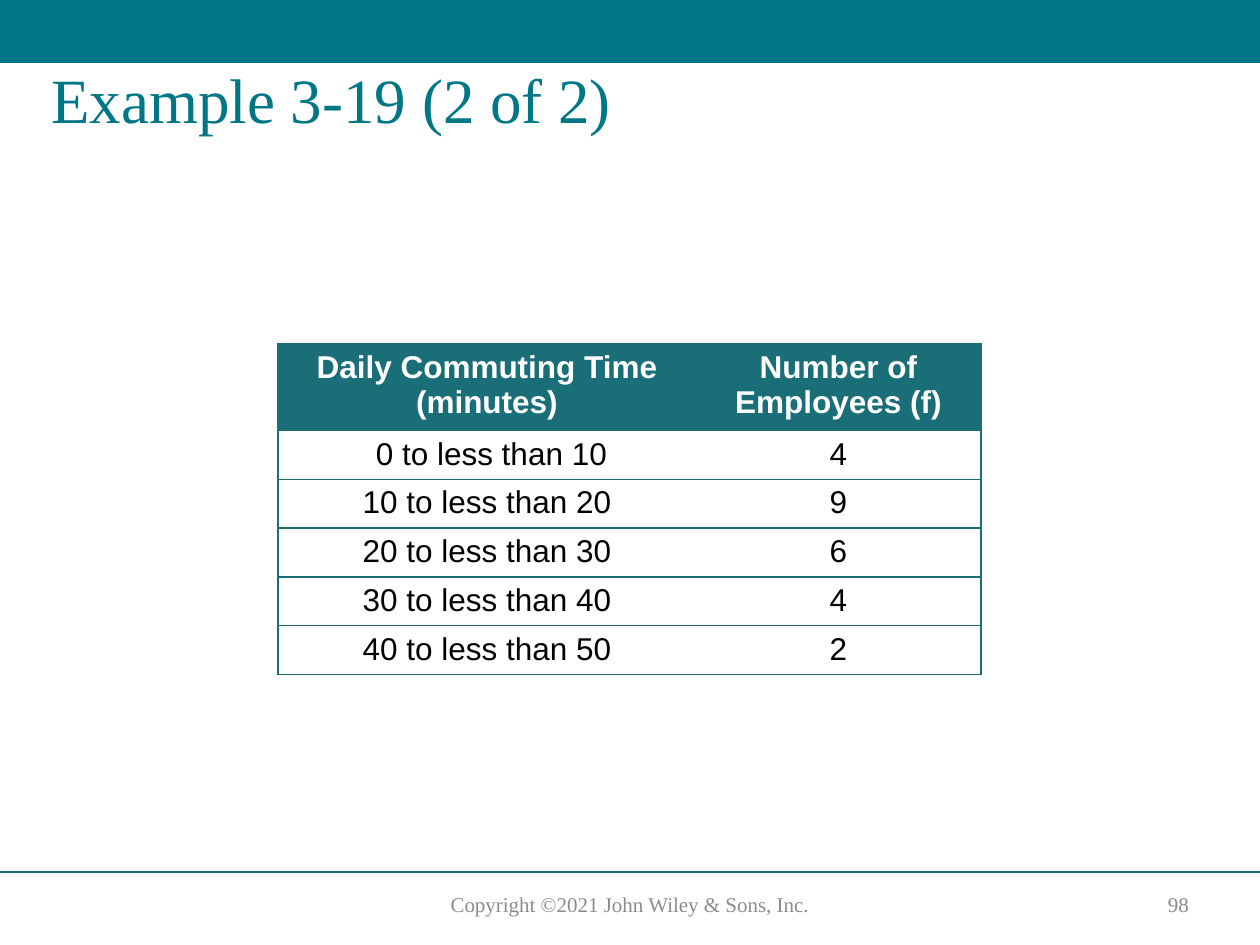
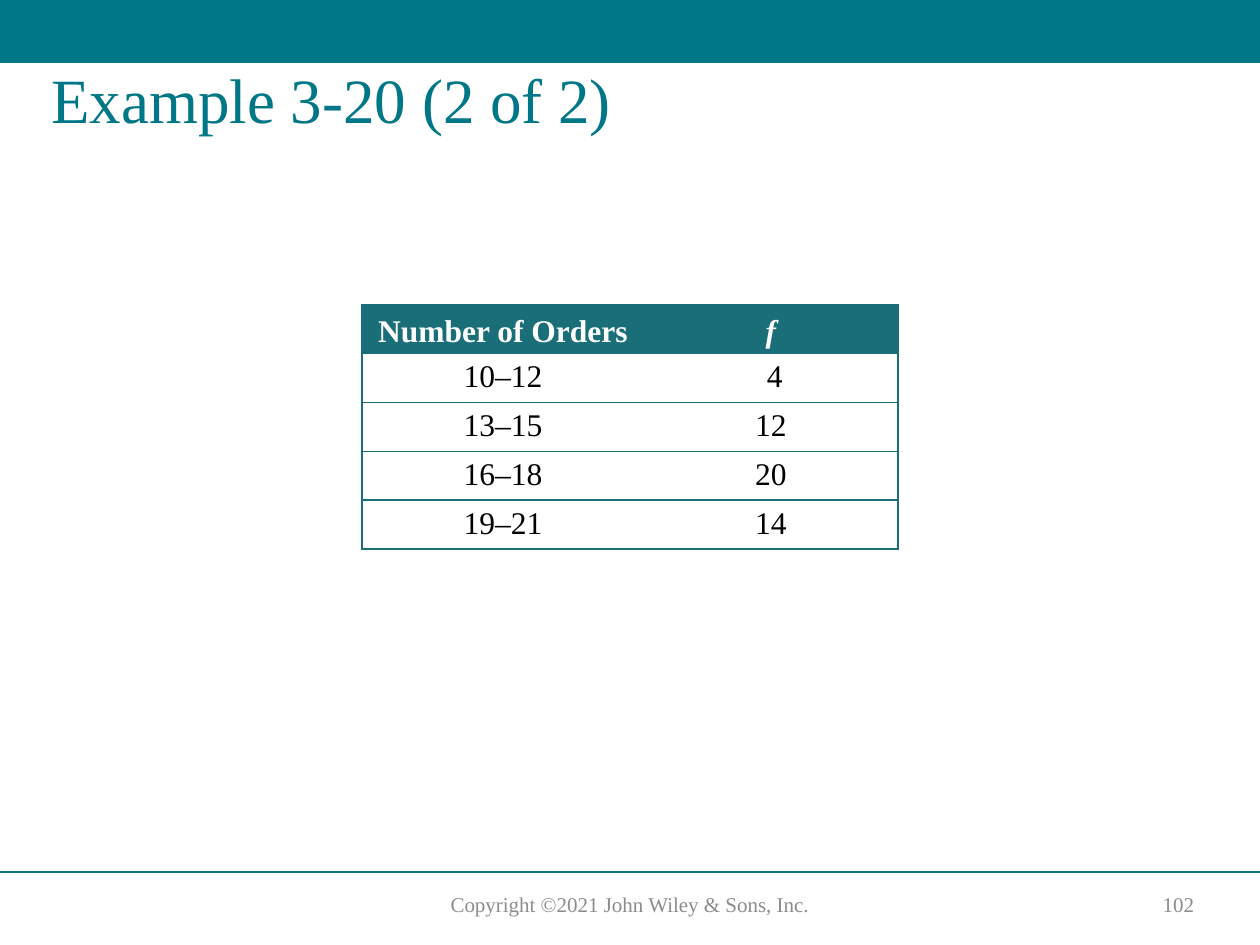
"""Build two slides that each show a frequency table."""
from typing import NamedTuple

from lxml import etree
from pptx import Presentation
from pptx.dml.color import RGBColor
from pptx.enum.shapes import MSO_CONNECTOR, MSO_SHAPE
from pptx.enum.text import MSO_ANCHOR, PP_ALIGN
from pptx.oxml.ns import qn
from pptx.util import Pt

STRAIGHT = MSO_CONNECTOR.STRAIGHT
RECT = MSO_SHAPE.RECTANGLE
TOP, MIDDLE, BOTTOM = MSO_ANCHOR.TOP, MSO_ANCHOR.MIDDLE, MSO_ANCHOR.BOTTOM
LEFT, CENTER = PP_ALIGN.LEFT, PP_ALIGN.CENTER

TEAL = RGBColor(0x00, 0x77, 0x87)
DEEP = RGBColor(0x19, 0x6E, 0x78)
GRAY = RGBColor(0x8C, 0x8C, 0x8C)
WHITE = RGBColor(0xFF, 0xFF, 0xFF)
BLACK = RGBColor(0x00, 0x00, 0x00)

SERIF, SANS = "Times New Roman", "Arial"
SCALE = 914400 / 126
WIDE, HIGH = 1260, 945
BAND, RULE = 63, 872
ROW = 48
NOTICE = "Copyright ©2021 John Wiley & Sons, Inc."


class Box(NamedTuple):
    """Left, top, width and height in px."""
    left: int
    top: int
    wide: int
    high: int


class Style(NamedTuple):
    """Font format and paragraph layout of a text."""
    font: dict
    color: RGBColor
    align: PP_ALIGN = CENTER
    para: dict = {}


class Grid(NamedTuple):
    """Place, format and content of a table."""
    left: int
    top: int
    cols: tuple[int, ...]
    head: int
    face: str
    anchor: MSO_ANCHOR
    rows: list[tuple[str, ...]]
    slant: tuple[int, ...] = ()


class Page(NamedTuple):
    """Title, number and table of a slide."""
    title: str
    number: str
    grid: Grid


TITLE = Style({"name": SERIF, "size": Pt(36)}, TEAL, LEFT, {"line_spacing": 0.9})
FOOT = Style({"name": SERIF, "size": Pt(12)}, GRAY)

PAGES = [
    Page("Example 3-19 (2 of 2)", "98", Grid(
        278, 344, (418, 285), 84, SANS, TOP,
        [("Daily Commuting Time\v(minutes)", "Number of Employees (f)"),
         (" 0 to less than 10", "4"),
         ("10 to less than 20", "9"),
         ("20 to less than 30", "6"),
         ("30 to less than 40", "4"),
         ("40 to less than 50", "2")])),
    Page("Example 3-20 (2 of 2)", "102", Grid(
        362, 305, (282, 254), ROW, SERIF, BOTTOM,
        [("Number of Orders", "f"),
         ("10–12", " 4"),
         ("13–15", "12"),
         ("16–18", "20"),
         ("19–21", "14")], (1,))),
]


def px(size: int) -> int:
    """Turn px into EMU."""
    return round(size * SCALE)


def place(box: Box) -> list[int]:
    """Turn a box into EMU."""
    return [px(side) for side in box]


def apply(item, values: dict) -> None:
    """Set each format value on an object."""
    for key, value in values.items():
        setattr(item, key, value)


def write(frame, text: str, style: Style) -> None:
    """Fill a text frame with one styled paragraph."""
    para = frame.paragraphs[0]
    para.text = text
    apply(para, {"alignment": style.align, **style.para})
    for run in para.runs:
        apply(run.font, style.font)
        run.font.color.rgb = style.color


def label(slide, box: Box, text: str, style: Style, anchor: MSO_ANCHOR = TOP) -> None:
    """Add a text box."""
    frame = slide.shapes.add_textbox(*place(box)).text_frame
    apply(frame, {"word_wrap": True, "vertical_anchor": anchor})
    write(frame, text, style)


def border(cell, side: str, shown: bool) -> None:
    """Draw or clear one side of a cell."""
    line = etree.SubElement(cell._tc.get_or_add_tcPr(), qn(f"a:ln{side}"), w=str(Pt(1)))
    if shown:
        fill = etree.SubElement(line, qn("a:solidFill"))
        etree.SubElement(fill, qn("a:srgbClr"), val=str(DEEP))
    else:
        etree.SubElement(line, qn("a:noFill"))


def frame(slide, page: Page) -> None:
    """Add the band, rule, footer and title."""
    band = slide.shapes.add_shape(RECT, *place(Box(0, 0, WIDE, BAND)))
    band.shadow.inherit = False
    band.fill.solid()
    band.fill.fore_color.rgb = TEAL
    band.line.fill.background()
    rule = slide.shapes.add_connector(STRAIGHT, 0, px(RULE), px(WIDE), px(RULE))
    rule.line.color.rgb = DEEP
    rule.line.width = Pt(1)
    etree.SubElement(rule._element.spPr, qn("a:effectLst"))
    label(slide, Box(404, 885, 452, 38), NOTICE, FOOT)
    label(slide, Box(1140, 887, 77, 35), page.number, FOOT, MIDDLE)
    label(slide, Box(39, BAND, 1176, 158), page.title, TITLE)


def table(slide, grid: Grid) -> None:
    """Add the frequency table."""
    count, last = len(grid.rows), len(grid.cols) - 1
    box = Box(grid.left, grid.top, sum(grid.cols), grid.head + ROW * (count - 1))
    tab = slide.shapes.add_table(count, last + 1, *place(box)).table
    tab.horz_banding = False
    for col, wide in zip(tab.columns, grid.cols):
        col.width = px(wide)
    for i, texts in enumerate(grid.rows):
        head = i == 0
        tab.rows[i].height = px(grid.head if head else ROW)
        for j, text in enumerate(texts):
            cell = tab.cell(i, j)
            sides = {"L": j == 0, "R": j == last, "T": True, "B": True}
            for side, shown in sides.items():
                border(cell, side, shown)
            cell.fill.solid()
            cell.fill.fore_color.rgb = DEEP if head else WHITE
            apply(cell, {"margin_top": px(6), "margin_bottom": px(5),
                         "vertical_anchor": grid.anchor if head else TOP})
            font = {"name": grid.face, "size": Pt(18), "bold": head,
                    "italic": head and j in grid.slant}
            para = {} if head else {"space_after": Pt(3)}
            write(cell.text_frame, text,
                  Style(font, WHITE if head else BLACK, CENTER, para))


def main() -> None:
    """Build and save the slides."""
    deck = Presentation()
    apply(deck, {"slide_width": px(WIDE), "slide_height": px(HIGH)})
    for page in PAGES:
        slide = deck.slides.add_slide(deck.slide_layouts[6])
        frame(slide, page)
        table(slide, page.grid)
    deck.save("out.pptx")


if __name__ == "__main__":
    main()
